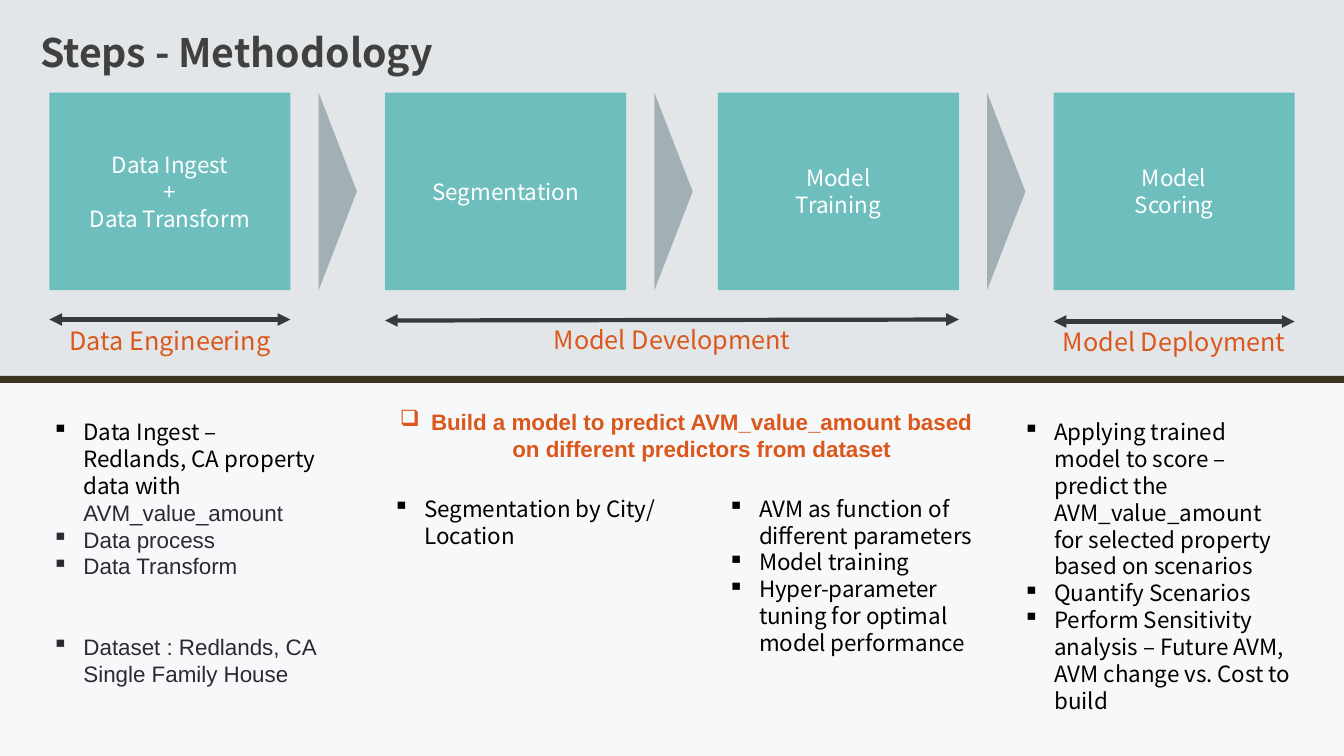
from lxml.etree import SubElement
from pptx import Presentation
from pptx.dml.color import RGBColor
from pptx.enum.shapes import MSO_CONNECTOR, MSO_SHAPE
from pptx.enum.text import MSO_ANCHOR, MSO_AUTO_SIZE, PP_ALIGN
from pptx.oxml.ns import qn
from pptx.util import Inches, Pt

SANS, ARIAL = "Noto Sans CJK JP", "Arial"
BACKGROUND = RGBColor(0xE2, 0xE6, 0xE8)
WHITE = RGBColor(0xFF, 0xFF, 0xFF)
BLACK = RGBColor(0x00, 0x00, 0x00)
BROWN = RGBColor(0x3C, 0x35, 0x22)
TEAL = RGBColor(0x6F, 0xBE, 0xBE)
GREY = RGBColor(0xA2, 0xAF, 0xB5)
SLATE = RGBColor(0x33, 0x3B, 0x40)
ORANGE = RGBColor(0xDB, 0x57, 0x1B)
INK = RGBColor(0x2A, 0x2A, 0x33)
TITLE_GREY = RGBColor(0x40, 0x40, 0x40)

# Content
TITLE = "Steps - Methodology"
STEPS = [  # left, lines
    (0.49, ["Data Ingest", "+", "Data Transform"]),
    (3.82, ["Segmentation"]),
    (7.12, ["Model", "Training"]),
    (10.45, ["Model", "Scoring"]),
]
PHASES = [  # name, first step, last step, arrow start y, arrow end y, label top
    ("Data Engineering", 0, 0, 3.17, 3.17, 3.18),
    ("Model Development", 1, 2, 3.18, 3.17, 3.17),
    ("Model Deployment", 3, 3, 3.19, 3.19, 3.19),
]
GOAL = "Build a model to predict AVM_value_amount based on different predictors from dataset"
BODY, DATA = (SANS, BLACK), (ARIAL, INK)
DETAILS = [  # left, top, height, bullets as lists of (text, style)
    (0.42, 4.1, 2.79, [
        [("Data Ingest – Redlands, CA property data with ", BODY),
         ("AVM_value_amount", DATA)],
        [("Data process", DATA)],
        [("Data Transform", DATA)],
        [("Dataset : Redlands, CA Single Family House", DATA)],
    ]),
    (3.8, 4.86, 0.64, [[("Segmentation by City/ Location", BODY)]]),
    (7.12, 4.86, 1.72, [
        [("AVM as function of different parameters", BODY)],
        [("Model training", BODY)],
        [("Hyper-parameter tuning for optimal model performance", BODY)],
    ]),
    (10.05, 4.1, 3.06, [
        [("Applying trained model to score – predict the AVM_value_amount "
          "for selected property based on scenarios", BODY)],
        [("Quantify Scenarios", BODY)],
        [("Perform Sensitivity analysis – Future AVM, AVM change vs. Cost to build", BODY)],
    ]),
]
DATASET_GAP = 38.4  # two lines above the dataset note

# Layout
SLIDE_W, SLIDE_H = 13.33, 7.5
STEP_TOP, STEP_W, STEP_H = 0.92, 2.39, 1.96
CHEVRON_W, CHEVRON_OFFSET = 0.38, 2.86
LABEL_MARGIN = 0.05
DETAIL_W, INDENT = 2.86, 0.31
LINE_FACTOR = 1.2

prs = Presentation()
prs.slide_width, prs.slide_height = Inches(SLIDE_W), Inches(SLIDE_H)
slide = prs.slides.add_slide(prs.slide_layouts[6])
slide.background.fill.solid()
slide.background.fill.fore_color.rgb = BACKGROUND


def add_block(preset, left, top, width, height, color):
    block = slide.shapes.add_shape(
        preset, Inches(left), Inches(top), Inches(width), Inches(height))
    block.shadow.inherit = False
    block.fill.solid()
    block.fill.fore_color.rgb = color
    block.line.fill.background()
    return block


def add_frame(left, top, width, height):
    frame = slide.shapes.add_textbox(
        Inches(left), Inches(top), Inches(width), Inches(height)).text_frame
    frame.word_wrap = True
    frame.auto_size = MSO_AUTO_SIZE.SHAPE_TO_FIT_TEXT
    return frame


def style(font, size, name, color, bold=False):
    font.size, font.name, font.bold = Pt(size), name, bold
    font.color.rgb = color


def next_paragraph(frame, index):
    return frame.add_paragraph() if index else frame.paragraphs[0]


def write(paragraph, text, size, name, color, align=PP_ALIGN.LEFT, bold=False):
    paragraph.text = text
    paragraph.alignment = align
    paragraph.line_spacing = Pt(size * LINE_FACTOR)
    style(paragraph.font, size, name, color, bold)


def add_bullet(paragraph, mark):
    props = paragraph._p.get_or_add_pPr()
    props.set("marL", str(Inches(INDENT)))
    props.set("indent", str(-Inches(INDENT)))
    SubElement(props, qn("a:buChar")).set("char", mark)


# Lower panel and divider
panel = add_block(MSO_SHAPE.RECTANGLE, 0, SLIDE_H / 2, SLIDE_W, SLIDE_H / 2, WHITE)
panel_color = panel._element.spPr.find(qn("a:solidFill"))[0]
SubElement(panel_color, qn("a:alpha")).set("val", "75000")
add_block(MSO_SHAPE.RECTANGLE, 0, 3.73, SLIDE_W, 0.07, BROWN)

# Title
write(add_frame(0.3, 0.23, 12.92, 0.57).paragraphs[0], TITLE, 28, SANS, TITLE_GREY, bold=True)

# Steps with a chevron between neighbours
for number, (left, lines) in enumerate(STEPS):
    step = add_block(MSO_SHAPE.RECTANGLE, left, STEP_TOP, STEP_W, STEP_H, TEAL)
    step.text_frame.vertical_anchor = MSO_ANCHOR.MIDDLE
    for index, line in enumerate(lines):
        write(next_paragraph(step.text_frame, index), line, 16, SANS, WHITE, PP_ALIGN.CENTER)
    if number < len(STEPS) - 1:
        chevron = add_block(
            MSO_SHAPE.ISOSCELES_TRIANGLE, left + CHEVRON_OFFSET - STEP_H / 2,
            STEP_TOP + (STEP_H - CHEVRON_W) / 2, STEP_H, CHEVRON_W, GREY)
        chevron.rotation = 90

# Phases: double arrow and label
for name, first, last, start_y, end_y, label_top in PHASES:
    left, right = STEPS[first][0], STEPS[last][0] + STEP_W
    arrow = slide.shapes.add_connector(
        MSO_CONNECTOR.STRAIGHT, Inches(left), Inches(start_y), Inches(right), Inches(end_y))
    arrow.line.color.rgb = SLATE
    arrow.line.width = Pt(3)
    for end in ("a:headEnd", "a:tailEnd"):
        SubElement(arrow.line._get_or_add_ln(), qn(end)).set("type", "triangle")
    SubElement(arrow._element.spPr, qn("a:effectLst"))
    label = add_frame(left - LABEL_MARGIN, label_top, right - left + 2 * LABEL_MARGIN, 0.4)
    write(label.paragraphs[0], name, 18, SANS, ORANGE, PP_ALIGN.CENTER)

# Goal
goal = add_frame(3.82, 4, 5.97, 0.64).paragraphs[0]
add_bullet(goal, "❑")
write(goal, GOAL, 16, ARIAL, ORANGE, PP_ALIGN.CENTER, bold=True)

# Details under each step
for left, top, height, bullets in DETAILS:
    details = add_frame(left, top, DETAIL_W, height)
    for index, parts in enumerate(bullets):
        paragraph = next_paragraph(details, index)
        add_bullet(paragraph, "▪")
        if len(parts) == 1:
            text, (font_name, color) = parts[0]
            write(paragraph, text, 16, font_name, color)
        else:
            paragraph.line_spacing = Pt(16 * LINE_FACTOR)
            for text, (font_name, color) in parts:
                run = paragraph.add_run()
                run.text = text
                style(run.font, 16, font_name, color)
        if parts[0][0].startswith("Dataset"):
            paragraph.space_before = Pt(DATASET_GAP)

prs.save("out.pptx")
